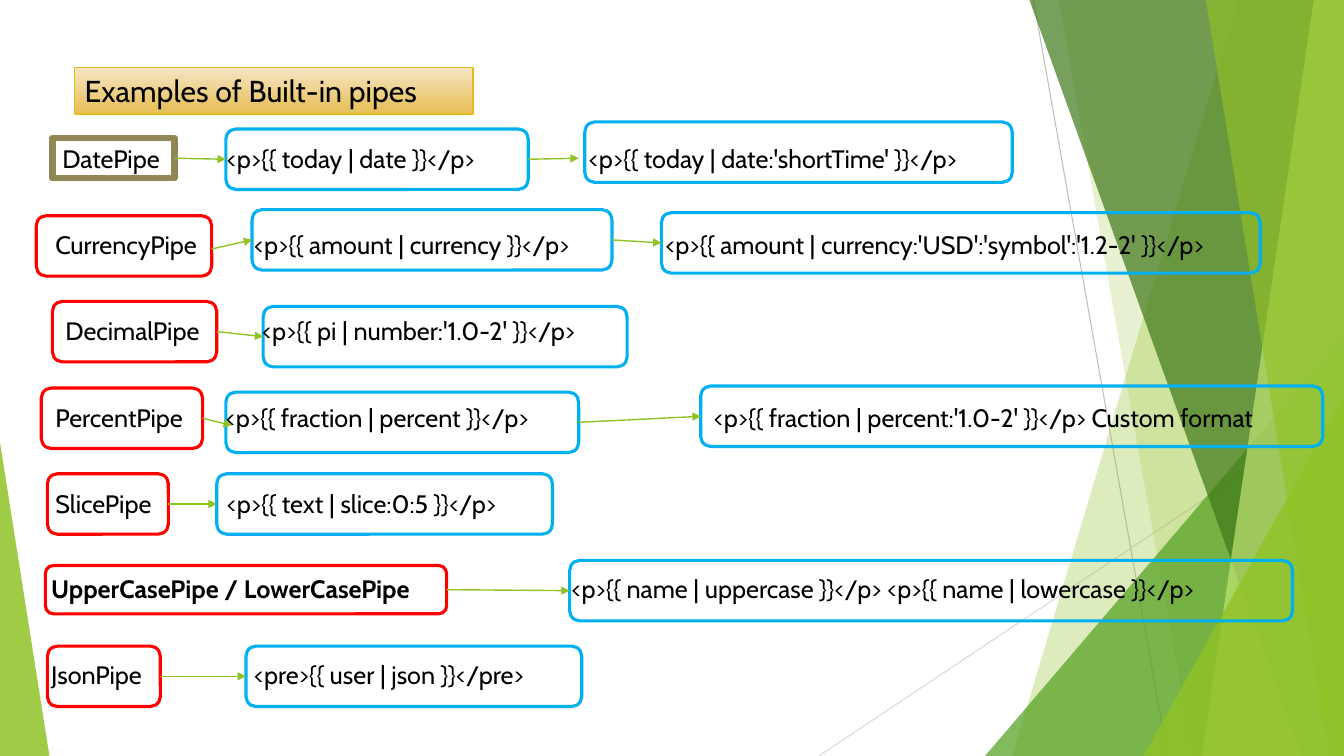
import lxml.etree
import pptx
import pptx.dml.color
import pptx.enum.shapes
import pptx.enum.text
import pptx.oxml.ns
import pptx.util

Inches = pptx.util.Inches
Shape = pptx.enum.shapes.MSO_SHAPE
qn = pptx.oxml.ns.qn

PAGE_WIDTH, PAGE_HEIGHT = 13.33, 7.5
FONT = {"name": "Cabin", "size": pptx.util.Pt(18), "bold": False}
GREEN, RED, BLUE = "90C226", "FF0000", "00B0F0"


def paint(target, color):
    """Give a fill, line or font colour format a solid hex colour."""
    if hasattr(target, "solid"):
        target.solid()
        target = target.fore_color
    else:
        target = target.color
    target.rgb = pptx.dml.color.RGBColor.from_string(color)


def add_line(start, end, color, width):
    line = page.shapes.add_connector(
        pptx.enum.shapes.MSO_CONNECTOR.STRAIGHT,
        *[Inches(value) for value in (*start, *end)])
    paint(line.line, color)
    line.line.width = pptx.util.Pt(width)
    lxml.etree.SubElement(line._element.spPr, qn("a:effectLst"))
    return line


deck = pptx.Presentation()
deck.slide_width, deck.slide_height = Inches(PAGE_WIDTH), Inches(PAGE_HEIGHT)
page = deck.slides.add_slide(deck.slide_layouts[5])

# Background: thin lines, then translucent facets from back to front
add_line((10.25, 0), (11.58, PAGE_HEIGHT), "BFBFBF", 0.75)
add_line((PAGE_WIDTH, 4.03), (8.12, PAGE_HEIGHT), "D9D9D9", 0.75)

# slab: top x, bottom x; wedge: left, top, width, apex position
facets = [
    ("slab", (12.28, 10.04), GREEN, 30),
    ("slab", (10.5, 11.83), GREEN, 20),
    ("wedge", (9.77, 3.33, 3.56, 1), "54A021", 72),
    ("slab", (10.21, 12.91), "3F7819", 70),
    ("slab", (13.03, 11.92), "C0E474", 70),
    ("slab", (11.96, 13.18), GREEN, 65),
    ("wedge", (11.34, 3.93, 1.99, 1), GREEN, 80),
    ("wedge", (0, 4.39, 0.49, 0), GREEN, 85),
]
for kind, geometry, color, opacity in facets:
    if kind == "slab":
        top_x, bottom_x = geometry
        outline = page.shapes.build_freeform(Inches(top_x), Inches(0))
        outline.add_line_segments([
            (Inches(x), Inches(y)) for x, y in (
                (PAGE_WIDTH, 0), (PAGE_WIDTH, PAGE_HEIGHT), (bottom_x, PAGE_HEIGHT))])
        facet = outline.convert_to_shape()
    else:
        left, top, width, apex = geometry
        facet = page.shapes.add_shape(
            Shape.ISOSCELES_TRIANGLE, Inches(left), Inches(top),
            Inches(width), Inches(PAGE_HEIGHT - top))
        facet.adjustments[0] = apex
    facet.shadow.inherit = False
    facet.line.fill.background()
    paint(facet.fill, color)
    srgb = facet._element.spPr.find(qn("a:solidFill")).find(qn("a:srgbClr"))
    lxml.etree.SubElement(srgb, qn("a:alpha")).set("val", str(opacity * 1000))

# Title
title = page.shapes.title
title_place = {"left": 0.74, "top": 0.67, "width": 3.95, "height": 0.46}
for name, value in title_place.items():
    setattr(title, name, Inches(value))
title.fill.gradient()
title.fill.gradient_angle = 270
for stop, (position, color) in zip(
        title.fill.gradient_stops, [(0, "F5E5C5"), (0.88, "E9C260")]):
    paint(stop, color)
    stop.position = position
paint(title.line, "E6B91E")
title.line.width = pptx.util.Pt(1)
title.text_frame.text = "Examples of Built-in pipes"
title.text_frame.auto_size = pptx.enum.text.MSO_AUTO_SIZE.NONE
title.text_frame.vertical_anchor = pptx.enum.text.MSO_ANCHOR.MIDDLE
title_para = title.text_frame.paragraphs[0]
title_para.alignment = pptx.enum.text.PP_ALIGN.LEFT
for name, value in {**FONT, "size": pptx.util.Pt(21.6)}.items():
    setattr(title_para.font, name, value)
paint(title_para.font, "000000")

# One row per pipe: text top, then for each step
# (text, text left, text width, frame left, frame top, frame width, frame height)
rows = [
    (1.37, [("DatePipe", 0.52, 1.21, 0.52, 1.37, 1.21, 0.4),
            ("<p>{{ today | date }}</p>", 2.15, 3.18, 2.24, 1.28, 3, 0.6),
            ("<p>{{ today | date:'shortTime' }}</p>", 5.74, 4.4, 5.8, 1.21, 4.24, 0.6)]),
    (2.23, [("CurrencyPipe", 0.45, 1.69, 0.36, 2.14, 1.74, 0.6),
            ("<p>{{ amount | currency }}</p>", 2.42, 3.8, 2.5, 2.08, 3.57, 0.6),
            ("<p>{{ amount | currency:'USD':'symbol':'1.2-2' }}</p>",
             6.5, 6.13, 6.56, 2.11, 5.94, 0.6)]),
    (3.08, [("DecimalPipe", 0.55, 1.59, 0.52, 2.99, 1.63, 0.6),
            ("<p>{{ pi | number:'1.0-2' }}</p>", 2.5, 3.87, 2.61, 3.04, 3.61, 0.6)]),
    (3.94, [("PercentPipe", 0.45, 1.55, 0.41, 3.85, 1.6, 0.6),
            ("<p>{{ fraction | percent }}</p>", 2.14, 3.8, 2.24, 3.89, 3.5, 0.6),
            ("<p>{{ fraction | percent:'1.0-2' }}</p> Custom format",
             6.98, 6.32, 6.95, 3.83, 6.17, 0.6)]),
    (4.8, [("SlicePipe", 0.45, 1.21, 0.47, 4.7, 1.2, 0.6),
           ("<p>{{ text | slice:0:5 }}</p>", 2.15, 3.38, 2.15, 4.7, 3.33, 0.6)]),
    (5.64, [("UpperCasePipe / LowerCasePipe", 0.41, 4.03, 0.45, 5.61, 3.98, 0.48),
            ("<p>{{ name | uppercase }}</p> <p>{{ name | lowercase }}</p>",
             5.57, 7.7, 5.65, 5.56, 7.17, 0.6)]),
    (6.49, [("JsonPipe", 0.41, 1.18, 0.47, 6.41, 1.12, 0.6),
            ("<pre>{{ user | json }}</pre>", 2.42, 3.37, 2.44, 6.41, 3.33, 0.6)]),
]
# Arrow ends that sit off the middle of a frame side: start or end shift by target text
start_shift = {"<p>{{ amount | currency }}</p>": (0, 0.03)}
end_shift = {"<p>{{ today | date:'shortTime' }}</p>": (-0.06, 0.06),
             "<p>{{ fraction | percent }}</p>": (0.06, 0.03)}

for text_top, steps in rows:
    exit_point = None
    for text, text_left, text_width, left, top, width, height in steps:
        is_date = text == "DatePipe"

        # Frame
        frame = page.shapes.add_shape(
            Shape.RECTANGLE if is_date else Shape.ROUNDED_RECTANGLE,
            Inches(left), Inches(top), Inches(width), Inches(height))
        frame.shadow.inherit = False
        if is_date:
            paint(frame.fill, "FFFFFF")
            paint(frame.line, "918655")
        else:
            frame.fill.background()
            paint(frame.line, BLUE if exit_point else RED)
        frame.line.width = pptx.util.Pt(4.5 if is_date else 2.25)

        # Text, held by the frame itself where both share one place
        box = frame if is_date else page.shapes.add_textbox(
            Inches(text_left), Inches(text_top), Inches(text_width), Inches(0.4))
        box.text_frame.word_wrap = True
        para = box.text_frame.paragraphs[0]
        para.alignment = pptx.enum.text.PP_ALIGN.LEFT
        span = para.add_run()
        span.text = text
        for name, value in {**FONT, "bold": text.startswith("Upper")}.items():
            setattr(span.font, name, value)
        paint(span.font, "000000")

        # Arrow from the step before
        middle = top + height / 2
        if exit_point:
            start_x, start_y = start_shift.get(text, (0, 0))
            end_x, end_y = end_shift.get(text, (0, 0))
            arrow = add_line((exit_point[0] + start_x, exit_point[1] + start_y),
                             (left + end_x, middle + end_y), GREEN, 1)
            line_xml = arrow.line._get_or_add_ln()
            lxml.etree.SubElement(line_xml, qn("a:tailEnd")).set("type", "triangle")
        exit_point = (left + width, middle)

deck.save("out.pptx")
